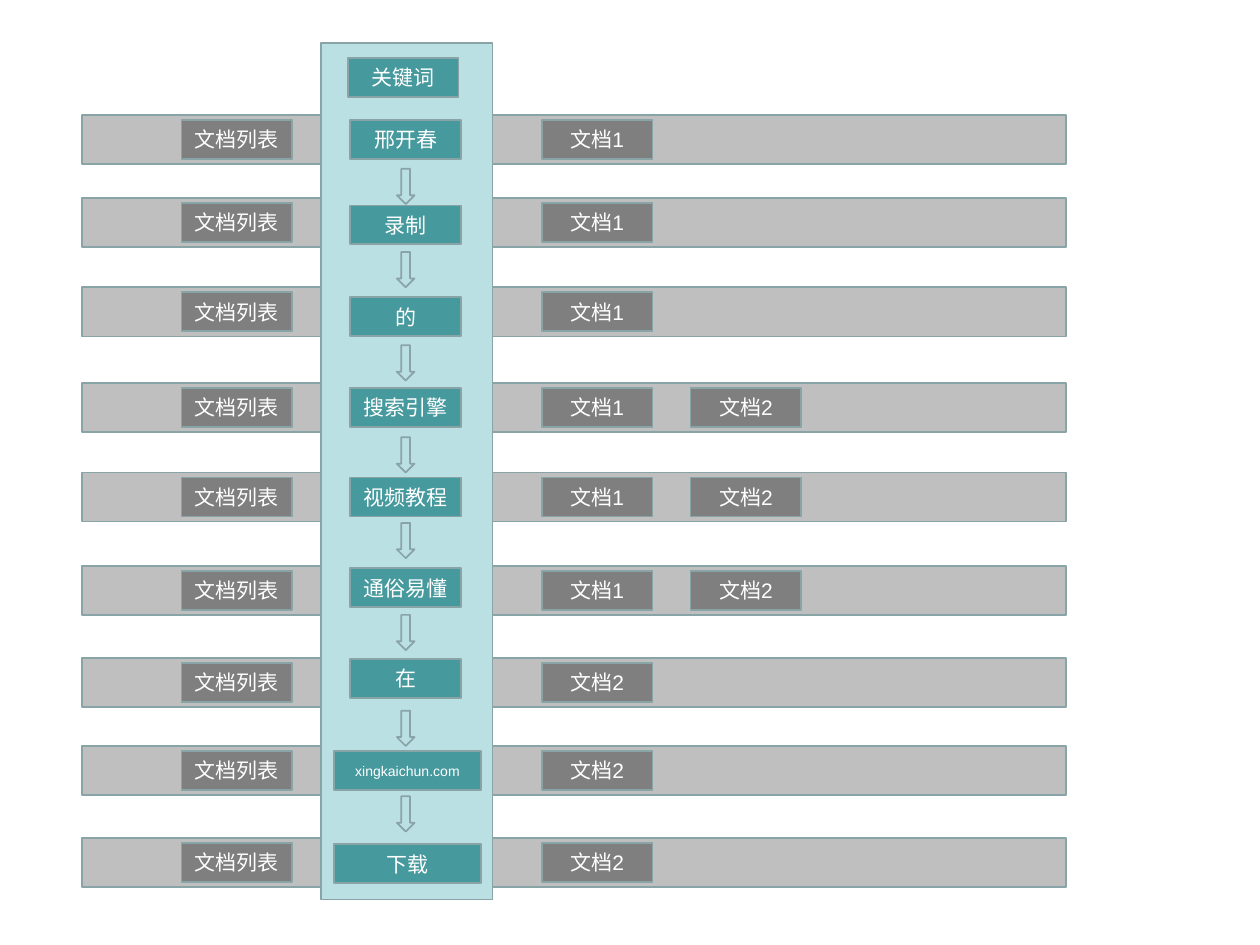
from pptx import Presentation
from pptx import util as u
from pptx.dml import color
from pptx.enum import shapes, text

HUES = {"bar": "BFBFBF", "panel": "BBE0E3", "key": "46999D",
        "doc": "7F7F7F", "line": "89A4A7", "text": "FFFFFF"}
RECT = shapes.MSO_SHAPE.RECTANGLE
DOWN = shapes.MSO_SHAPE.DOWN_ARROW
TAG_W, TAG_H = 0.88, 0.31
ROWS = [
    (0.91, 0.95, "邢开春", "1"),
    (1.57, 1.63, "录制", "1"),
    (2.28, 2.36, "的", "1"),
    (3.04, 3.08, "搜索引擎", "12"),
    (3.75, 3.79, "视频教程", "12"),
    (4.49, 4.51, "通俗易懂", "12"),
    (5.22, 5.23, "在", "2"),
    (5.92, 5.96, "xingkaichun.com", "2"),
    (6.65, 6.7, "下载", "2"),
]
WIDE = {"xingkaichun.com", "下载"}
ARROWS = [1.34, 2, 2.74, 3.47, 4.15, 4.88, 5.64, 6.32]


def rgb(name):
    """Return the named colour."""
    return color.RGBColor.from_string(HUES[name])


def block(slide, box, hue, kind=RECT):
    """Draw a filled, outlined shape in the box."""
    shape = slide.shapes.add_shape(kind, *map(u.Inches, box))
    shape.shadow.inherit = False
    shape.fill.solid()
    shape.fill.fore_color.rgb = rgb(hue)
    shape.line.color.rgb = rgb("line")
    shape.line.width = u.Pt(1)
    return shape


def tag(slide, left, top, words, hue, width=TAG_W, size=12):
    """Draw a rectangle with a centred label."""
    frame = block(slide, (left, top, width, TAG_H), hue).text_frame
    frame.text = words
    frame.word_wrap = False
    frame.vertical_anchor = text.MSO_ANCHOR.MIDDLE
    para = frame.paragraphs[0]
    para.alignment = text.PP_ALIGN.CENTER
    font = para.runs[0].font
    font.name, font.size = "Arial", u.Pt(size)
    font.color.rgb = rgb("text")


def lists(slide, left, width):
    """Draw the document list bars with their tags."""
    for top, _, _, docs in ROWS:
        block(slide, (left, top, width, 0.39), "bar")
        tag(slide, left + 0.79, top + 0.04, "文档列表", "doc")
        for i, doc in enumerate(docs):
            tag(slide, left + 3.65 + 1.18 * i, top + 0.04, f"文档{doc}", "doc")


def words(slide, left, top, width, height):
    """Draw the keyword column with its chain of arrows."""
    block(slide, (left, top, width, height), "panel")
    tag(slide, left + 0.21, top + 0.12, "关键词", "key")
    for _, y, word, _ in ROWS:
        inset, wide = (0.1, 1.17) if word in WIDE else (0.23, TAG_W)
        size = 8 if word.isascii() else 12
        tag(slide, left + inset, y, word, "key", wide, size)
    for y in ARROWS:
        block(slide, (left + 0.6, y, 0.14, 0.28), "panel", DOWN)


def main():
    """Build and save the slide."""
    deck = Presentation()
    deck.slide_width, deck.slide_height = u.Inches(10), u.Inches(7.5)
    slide = deck.slides.add_slide(deck.slide_layouts[6])
    lists(slide, 0.65, 7.81)
    words(slide, 2.55, 0.34, 1.36, 6.8)
    deck.save("out.pptx")


if __name__ == "__main__":
    main()
